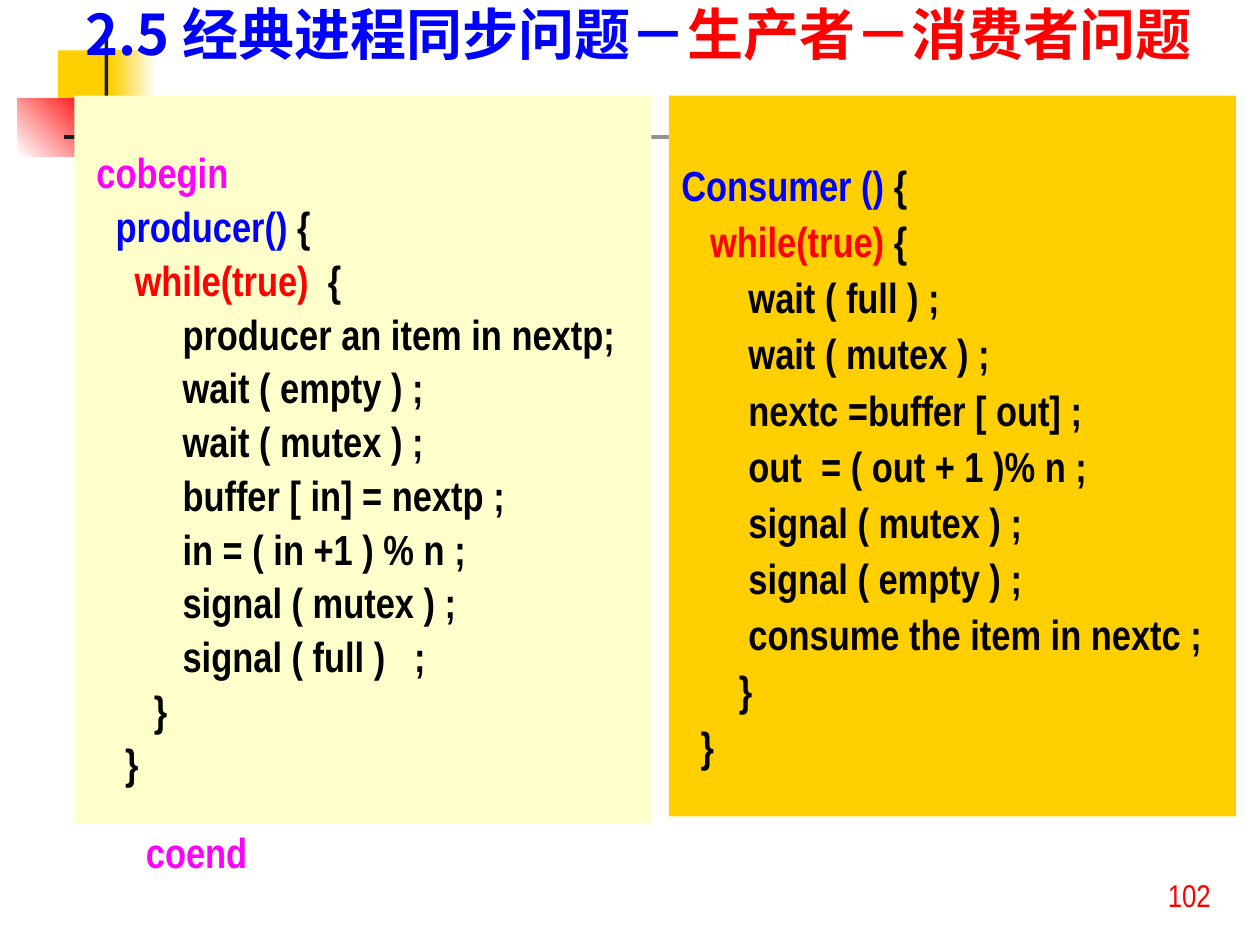
from pptx import Presentation
from pptx.dml.color import RGBColor
from pptx.enum.shapes import MSO_SHAPE as Shape
from pptx.enum.text import MSO_ANCHOR as Anchor
from pptx.oxml.ns import qn
from pptx.util import Inches, Pt

BLUE, RED, MAGENTA, BLACK = "0000FF", "FF0000", "FF00FF", "000000"
GOLD, CREAM, WHITE, CHARCOAL = "FFCF01", "FFFFCC", "FFFFFF", "1C1C1C"


def color(hex_text):
    return RGBColor.from_string(hex_text)


class SlideBuilder:
    """Draws on one slide, measured on a grid of 100 columns by 75 rows."""

    code_font = "Arial Narrow"
    title_font = "Noto Sans CJK SC"

    def __init__(self, presentation):
        self.column = presentation.slide_width / 100
        self.row = presentation.slide_height / 75
        self.slide = presentation.slides.add_slide(presentation.slide_layouts[6])

    def place(self, left, top, width, height):
        return (round(left * self.column), round(top * self.row),
                round(width * self.column), round(height * self.row))

    def block(self, *area, fill, fade_to=None, angle=0):
        shape = self.slide.shapes.add_shape(Shape.RECTANGLE, *self.place(*area))
        shape.shadow.inherit = False
        shape.line.fill.background()
        if fade_to:
            shape.fill.gradient()
            shape.fill.gradient_angle = angle
            for stop, shade in zip(shape.fill.gradient_stops, (fill, fade_to)):
                stop.color.rgb = color(shade)
        else:
            shape.fill.solid()
            shape.fill.fore_color.rgb = color(fill)
        return shape

    def runs(self, paragraph, parts, size, font, bold=True):
        for text, shade in parts:
            run = paragraph.add_run()
            run.text = text
            run.font.size, run.font.bold, run.font.name = Pt(size), bold, font
            run.font.color.rgb = color(shade)
            east_asian = run._r.get_or_add_rPr().makeelement(
                qn("a:ea"), {"typeface": font})
            run.font._element.find(qn("a:latin")).addnext(east_asian)

    def label(self, *area, parts, size, font=code_font, bold=True, anchor=Anchor.TOP):
        frame = self.slide.shapes.add_textbox(*self.place(*area)).text_frame
        frame.word_wrap = True
        frame.vertical_anchor = anchor
        self.runs(frame.paragraphs[0], parts, size, font, bold)

    def code_panel(self, *area, fill, lines, pitch, inset):
        frame = self.block(*area, fill=fill).text_frame
        frame.word_wrap = True
        frame.vertical_anchor = Anchor.TOP
        frame.margin_top = Inches(inset)
        for index, parts in enumerate(lines):
            paragraph = frame.paragraphs[0] if index == 0 else frame.add_paragraph()
            paragraph.alignment = 1
            paragraph.line_spacing = Pt(pitch)
            self.runs(paragraph, parts, 24, self.code_font)


def plain(*texts):
    return [[(text, BLACK)] for text in texts]


PRODUCER = [
    [(" cobegin", MAGENTA)],
    [("   producer() ", BLUE), ("{", BLACK)],
    [("     while(true)  ", RED), ("{", BLACK)],
    *plain("          producer an item in nextp;",
           "          wait ( empty ) ;",
           "          wait ( mutex ) ;",
           "          buffer [ in] = nextp ;",
           "          in = ( in +1 ) % n ;",
           "          signal ( mutex ) ;",
           "          signal ( full )   ;",
           "       }",
           "    }"),
]
CONSUMER = [
    [("Consumer () ", BLUE), ("{", BLACK)],
    [("   while(true) ", RED), ("{", BLACK)],
    *plain("       wait ( full ) ;",
           "       wait ( mutex ) ;",
           "       nextc =buffer [ out] ;",
           "       out  = ( out + 1 )% n ;",
           "       signal ( mutex ) ;",
           "       signal ( empty ) ;",
           "       consume the item in nextc ;",
           "      }",
           "  }"),
]


def main():
    presentation = Presentation()
    presentation.slide_width, presentation.slide_height = Inches(10), Inches(7.5)
    builder = SlideBuilder(presentation)

    # Corner ornament and rules
    builder.block(4.6, 4, 4.8, 5.2, fill=GOLD)
    builder.block(8.8, 4, 3.6, 5.2, fill=GOLD, fade_to=WHITE)
    builder.block(1.4, 7.8, 6.1, 4.6, fill=WHITE, fade_to=RED, angle=45)
    builder.block(8.3, 2.8, 0.3, 11.5, fill=CHARCOAL)
    builder.block(5.1, 10.7, 90, 0.3, fill=CHARCOAL, fade_to=WHITE)

    # Code panels
    builder.code_panel(5.9, 7.6, 45.8, 57.8, fill=CREAM, lines=PRODUCER,
                       pitch=30.7, inset=0.38)
    builder.code_panel(53.1, 7.6, 45, 57.2, fill=GOLD, lines=CONSUMER,
                       pitch=32.1, inset=0.46)

    # Closing keyword, title and page number
    builder.label(10.6, 65.1, 30.7, 5, parts=[("coend", MAGENTA)], size=24)
    builder.label(5.8, 0, 94.2, 5.8, size=32, font=builder.title_font,
                  anchor=Anchor.BOTTOM,
                  parts=[("2.5 经典进程同步问题－", BLUE), ("生产者－消费者问题", RED)])
    builder.label(91.7, 69, 6.3, 3.9, parts=[("102", RED)], size=18, bold=False)

    presentation.save("out.pptx")


if __name__ == "__main__":
    main()
